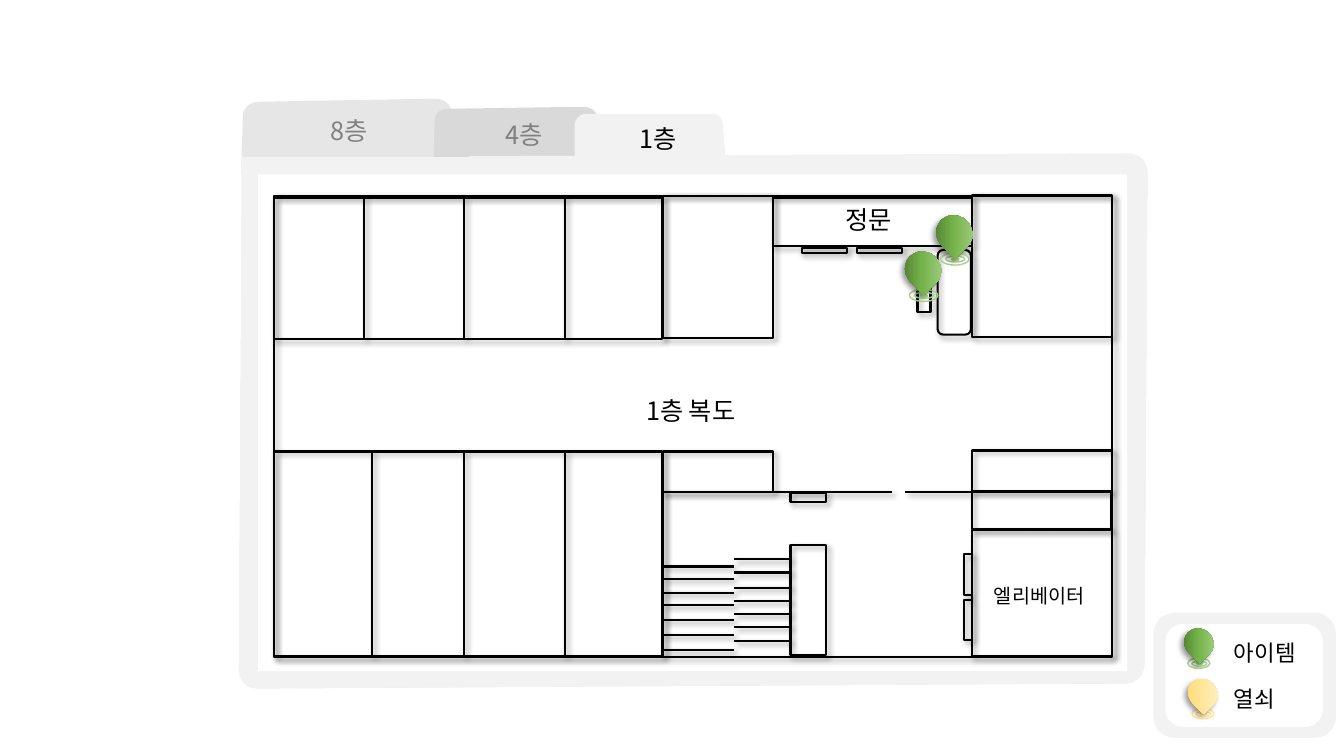
"""Build a slide with the first-floor map, its floor tabs and a marker legend."""
from dataclasses import dataclass
from typing import Optional

from lxml.etree import SubElement
from pptx import Presentation
from pptx.dml.color import RGBColor
from pptx.enum.shapes import MSO_CONNECTOR, MSO_SHAPE
from pptx.enum.text import MSO_ANCHOR, MSO_AUTO_SIZE, PP_ALIGN
from pptx.oxml import parse_xml
from pptx.oxml.ns import nsdecls, qn
from pptx.util import Pt

PX = 9144
FONT = "Noto Sans CJK KR"
COLORS = {
    "ink": "000000", "paper": "FFFFFF", "muted": "808080", "panel": "F2F2F2",
    "tab8": "E7E6E6", "tab4": "D9D9D9", "green_ring": "A9D18E", "gold_ring": "FFE699",
}
GRADIENTS = {
    "green": ("4B7430", "74B349", "A9D18E"),
    "gold": ("FFD966", "FFE699", "FFF2CC"),
}


@dataclass(frozen=True)
class Box:
    x: int
    y: int
    w: int
    h: int
    kind: MSO_SHAPE = MSO_SHAPE.RECTANGLE


@dataclass(frozen=True)
class Wall:
    x1: int
    y1: int
    x2: int
    y2: int


@dataclass(frozen=True)
class Label:
    text: str
    x: int
    y: int
    w: int
    h: int
    size: int = 18
    color: str = "ink"


@dataclass(frozen=True)
class Pin:
    x: int
    y: int
    color: str
    scale: float = 1.0


@dataclass(frozen=True)
class Outline:
    color: str
    points: tuple


BODY = (
    (1119, 155), (1130, 155, 1138, 163, 1138, 173), (1135, 659),
    (1135, 669, 1127, 678, 1116, 678), (256, 683), (245, 683, 237, 675, 237, 665),
    (240, 178), (240, 175), (239, 171),
)
RAISED_BODY = tuple(tuple(v - 3 * (i % 2) for i, v in enumerate(pt)) for pt in BODY)
FOLDERS = (
    Outline("tab8", ((429, 98), (438, 97, 446, 102, 447, 109), (451, 159), *BODY,
                     (241, 115), (241, 107, 248, 101, 258, 101), (428, 98))),
    Outline("tab4", ((578, 106), (585, 106, 592, 110, 592, 116), (596, 157), (1118, 157),
                     (1126, 157, 1133, 164, 1133, 172), (1133, 577),
                     (1133, 586, 1126, 592, 1118, 592), (445, 593),
                     (437, 593, 430, 586, 430, 578), (430, 172), (431, 170), (430, 166),
                     (431, 120), (431, 113, 437, 108, 444, 108), (577, 106))),
    Outline("panel", ((582, 113), (704, 113), (711, 112, 716, 116, 717, 122), (720, 163),
                      (944, 165), (942, 600), (587, 597), (579, 597, 573, 591, 573, 582),
                      (570, 177), (570, 125), (570, 118, 575, 113, 582, 113))),
    Outline("panel", (*BODY, (240, 156), (451, 156), (451, 159))),
    Outline("panel", (*RAISED_BODY, (240, 156), (465, 156), (465, 155))),
)
ROOMS = (
    Box(272, 194, 831, 458), Box(964, 526, 139, 125), Box(964, 488, 138, 37),
    *(Box(956, y, 8, 40) for y in (550, 595)),
    Box(784, 541, 35, 109), Box(784, 489, 35, 9),
    Box(272, 448, 385, 203), Box(964, 447, 139, 40), Box(272, 196, 385, 140),
    Box(964, 194, 139, 140), Box(767, 196, 197, 48),
    *(Box(x, 246, 45, 5) for x in (795, 850)),
    Box(930, 248, 33, 84, MSO_SHAPE.ROUNDED_RECTANGLE),
    Box(658, 194, 109, 141), Box(658, 448, 109, 40), Box(910, 277, 13, 33),
)
WALLS = (
    Wall(657, 488, 885, 488), Wall(898, 488, 964, 488), Wall(658, 488, 658, 652),
    *(Wall(728, y, 784, y) for y in (555, 568, 583, 596, 609, 622, 636)),
    *(Wall(658, y, 728, y) for y in (562, 574, 588, 600, 615, 630, 645)),
    *(Wall(x, 196, x, 335) for x in (361, 460, 560)),
    *(Wall(x, 448, x, 651) for x in (369, 460, 560)),
)
LABELS = (
    Label("1층 복도", 631, 387, 126, 40), Label("정문", 829, 198, 71, 40),
    Label("엘리베이터", 976, 574, 129, 34, size=14),
    Label("8층", 318, 109, 69, 40, color="muted"),
    Label("4층", 492, 113, 69, 40, color="muted"), Label("1층", 624, 117, 69, 40),
    Label("아이템", 1214, 629, 101, 37, size=16), Label("열쇠", 1214, 675, 101, 37, size=16),
)
LEGEND = (
    (Box(1144, 608, 181, 124, MSO_SHAPE.ROUNDED_RECTANGLE), "panel"),
    (Box(1156, 619, 156, 102, MSO_SHAPE.ROUNDED_RECTANGLE), "paper"),
)
PINS = (
    Pin(898, 249, "green"), Pin(929, 213, "green"),
    Pin(1179, 673, "gold", 0.8), Pin(1175, 623, "green", 0.8),
)
RINGS = ((4, 38, 28, 12), (9, 41, 19, 6), (15, 43, 7, 3))


def rgb(name: str) -> RGBColor:
    return RGBColor.from_string(COLORS[name])


def add_shadow(sp, angle: int = 45) -> None:
    spPr = sp._element.spPr
    effects = spPr.find(qn("a:effectLst"))
    if effects is None:
        effects = SubElement(spPr, qn("a:effectLst"))
    effects.append(parse_xml(
        f'<a:outerShdw {nsdecls("a")} blurRad="{Pt(4)}" dist="{Pt(3)}" '
        f'dir="{angle * 60000}" rotWithShape="0"><a:srgbClr val="{COLORS["ink"]}">'
        '<a:alpha val="40000"/></a:srgbClr></a:outerShdw>'))


def paint(sp, fill: Optional[str] = None, line: Optional[str] = None, width: float = 1.5) -> None:
    sp.shadow.inherit = False
    if fill:
        sp.fill.solid()
        sp.fill.fore_color.rgb = rgb(fill)
    else:
        sp.fill.background()
    if line:
        sp.line.color.rgb = rgb(line)
        sp.line.width = Pt(width)
    else:
        sp.line.fill.background()


def add_box(s, box: Box, **style):
    sp = s.shapes.add_shape(box.kind, box.x * PX, box.y * PX, box.w * PX, box.h * PX)
    paint(sp, **style)
    return sp


def add_wall(s, wall: Wall) -> None:
    sp = s.shapes.add_connector(MSO_CONNECTOR.STRAIGHT, wall.x1 * PX, wall.y1 * PX,
                                wall.x2 * PX, wall.y2 * PX)
    sp.line.color.rgb = rgb("ink")
    sp.line.width = Pt(1.5)
    add_shadow(sp)


def flatten(points: tuple, steps: int = 10) -> list:
    flat = [points[0]]
    for pt in points[1:]:
        if len(pt) == 2:
            flat.append(pt)
            continue
        ctrl = (flat[-1], pt[:2], pt[2:4], pt[4:])
        for t in (n / steps for n in range(1, steps + 1)):
            weights = ((1 - t) ** 3, 3 * t * (1 - t) ** 2, 3 * t * t * (1 - t), t ** 3)
            flat.append(tuple(sum(w * c[axis] for w, c in zip(weights, ctrl)) for axis in (0, 1)))
    return [(x * PX, y * PX) for x, y in flat]


def add_outline(s, outline: Outline) -> None:
    start, *rest = flatten(outline.points)
    builder = s.shapes.build_freeform(*start)
    builder.add_line_segments(rest, close=True)
    paint(builder.convert_to_shape(), fill=outline.color)


def add_pin(s, pin: Pin) -> None:
    def part(x: int, y: int, w: int, h: int, kind: MSO_SHAPE) -> Box:
        k = pin.scale
        return Box(pin.x + round(x * k), pin.y + round(y * k), round(w * k), round(h * k), kind)

    ring = f"{pin.color}_ring"
    for place in RINGS:
        add_box(s, part(*place, MSO_SHAPE.OVAL), line=ring, width=1,
                fill=ring if place == RINGS[-1] else None)
    sp = add_box(s, part(0, 0, 35, 37, MSO_SHAPE.TEAR))
    sp.rotation = 135
    stops = "".join(f'<a:gs pos="{pos}000"><a:srgbClr val="{color}"/></a:gs>'
                    for pos, color in zip((0, 48, 100), GRADIENTS[pin.color]))
    spPr = sp._element.spPr
    spPr.replace(spPr.find(qn("a:noFill")), parse_xml(
        f'<a:gradFill {nsdecls("a")} rotWithShape="1"><a:gsLst>{stops}</a:gsLst>'
        f'<a:lin ang="{225 * 60000}" scaled="0"/></a:gradFill>'))
    add_shadow(sp, 135)


def add_text(s, text: str, *, x: int, y: int, w: int, h: int, size: int, color: str) -> None:
    tf = s.shapes.add_textbox(x * PX, y * PX, w * PX, h * PX).text_frame
    tf.word_wrap = True
    tf.auto_size = MSO_AUTO_SIZE.SHAPE_TO_FIT_TEXT
    tf.vertical_anchor = MSO_ANCHOR.TOP
    p = tf.paragraphs[0]
    p.alignment = PP_ALIGN.LEFT
    r = p.add_run()
    r.text = text
    r.font.size = Pt(size)
    r.font.name = FONT
    r.font.color.rgb = rgb(color)
    SubElement(r.font._element, qn("a:ea")).set("typeface", FONT)


def main() -> None:
    prs = Presentation()
    prs.slide_width, prs.slide_height = 1333 * PX, 750 * PX
    s = prs.slides.add_slide(prs.slide_layouts[6])
    for folder in FOLDERS:
        add_outline(s, folder)
    add_box(s, Box(256, 173, 862, 493), fill="paper")
    for room in ROOMS:
        add_shadow(add_box(s, room, line="ink"))
    for wall in WALLS:
        add_wall(s, wall)
    for box, color in LEGEND:
        add_box(s, box, fill=color)
    for pin in PINS:
        add_pin(s, pin)
    for label in LABELS:
        add_text(s, label.text, x=label.x, y=label.y, w=label.w, h=label.h,
                 size=label.size, color=label.color)
    prs.save("out.pptx")


if __name__ == "__main__":
    main()
